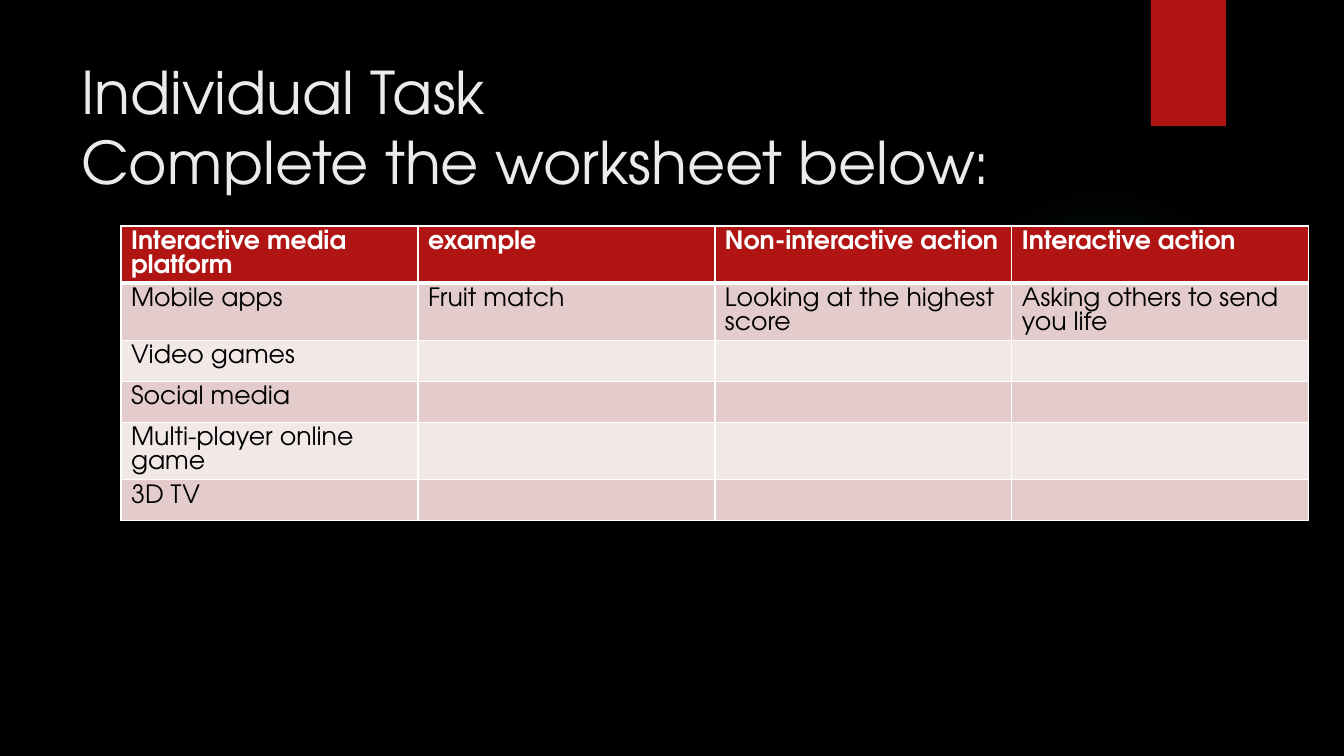
"""Build the individual task slide with its interactive media worksheet."""
import pptx
import pptx.dml.color
import pptx.enum.shapes
import pptx.enum.text
import pptx.oxml
import pptx.oxml.ns
import pptx.util

PX = 914400 / 100.8
FONT = "TeX Gyre Adventor"
COLORS = {
    "background": "000000",
    "accent": "B01513",
    "glow": "50B9C1",
    "title": "EBEBEB",
    "header text": "FFFFFF",
    "body text": "000000",
    "border": "FFFFFF",
    "odd row": "E4CCCC",
    "even row": "F2E8E7",
}


def px(*lengths):
    return [pptx.util.Emu(round(length * PX)) for length in lengths]


def write(text_frame, text, size=18, color="body text", bold=False):
    paragraph = text_frame.paragraphs[0]
    paragraph.text = text
    paragraph.line_spacing = 1.0
    paragraph.alignment = pptx.enum.text.PP_ALIGN.LEFT
    for run in paragraph.runs:
        run.font.name = FONT
        run.font.size = pptx.util.Pt(size)
        run.font.bold = bold
        run.font.color.rgb = pptx.dml.color.RGBColor.from_string(COLORS[color])


presentation = pptx.Presentation()
presentation.slide_width, presentation.slide_height = px(1344, 756)
slide = presentation.slides.add_slide(presentation.slide_layouts[5])
background = slide.background.fill
background.solid()
background.fore_color.rgb = pptx.dml.color.RGBColor.from_string(COLORS["background"])

shapes = slide.shapes
glow = shapes.add_shape(pptx.enum.shapes.MSO_SHAPE.OVAL, *px(949, 184, 310, 310))
glow.shadow.inherit = False
glow.line.fill.background()
stops = "".join(
    f'<a:gs pos="{position}000"><a:srgbClr val="{COLORS["glow"]}">'
    f'<a:alpha val="{opacity}000"/></a:srgbClr></a:gs>'
    for position, opacity in ((0, 7), (36, 6), (69, 0))
)
gradient = pptx.oxml.parse_xml(
    f'<a:gradFill {pptx.oxml.ns.nsdecls("a")}><a:gsLst>{stops}</a:gsLst>'
    '<a:path path="circle"><a:fillToRect l="50000" t="50000" r="50000" b="50000"/>'
    "</a:path></a:gradFill>"
)
glow.element.spPr.find(pptx.oxml.ns.qn("a:prstGeom")).addnext(gradient)

ribbon = shapes.add_shape(pptx.enum.shapes.MSO_SHAPE.RECTANGLE, *px(1151, 0, 75, 126))
ribbon.shadow.inherit = False
ribbon.line.fill.background()
ribbon.fill.solid()
ribbon.fill.fore_color.rgb = pptx.dml.color.RGBColor.from_string(COLORS["accent"])

title = shapes.title
title.left, title.top, title.width, title.height = px(71, 49, 1037, 154)
title.text_frame.word_wrap = True
title.text_frame.auto_size = pptx.enum.text.MSO_AUTO_SIZE.NONE
title.text_frame.vertical_anchor = pptx.enum.text.MSO_ANCHOR.MIDDLE
write(title.text_frame, "Individual Task\nComplete the worksheet below:", size=42, color="title")

worksheet = [
    ["Interactive media platform", "example", "Non-interactive action", "Interactive action"],
    ["Mobile apps", "Fruit match", "Looking at the highest score", "Asking others to send you life"],
    ["Video games", "", "", ""],
    ["Social media", "", "", ""],
    ["Multi-player online game", "", "", ""],
    ["3D TV", "", "", ""],
]
row_heights = [57, 57, 41, 41, 57, 41]
table = shapes.add_table(6, 4, *px(121, 226, 1188, sum(row_heights))).table
for row_index, (texts, height) in enumerate(zip(worksheet, row_heights)):
    table.rows[row_index].height = px(height)[0]
    header = row_index == 0
    row_color = "accent" if header else "odd row" if row_index % 2 else "even row"
    for column_index, text in enumerate(texts):
        cell = table.cell(row_index, column_index)
        write(
            cell.text_frame,
            text,
            color="header text" if header else "body text",
            bold=header,
        )
        properties = cell._tc.get_or_add_tcPr()
        for side in "LRTB":
            thick = (header and side == "B") or (row_index == 1 and side == "T")
            properties.append(pptx.oxml.parse_xml(
                f'<a:ln{side} {pptx.oxml.ns.nsdecls("a")} w="{pptx.util.Pt(3 if thick else 1)}">'
                f'<a:solidFill><a:srgbClr val="{COLORS["border"]}"/></a:solidFill></a:ln{side}>'
            ))
        cell.fill.solid()
        cell.fill.fore_color.rgb = pptx.dml.color.RGBColor.from_string(COLORS[row_color])

presentation.save("out.pptx")
